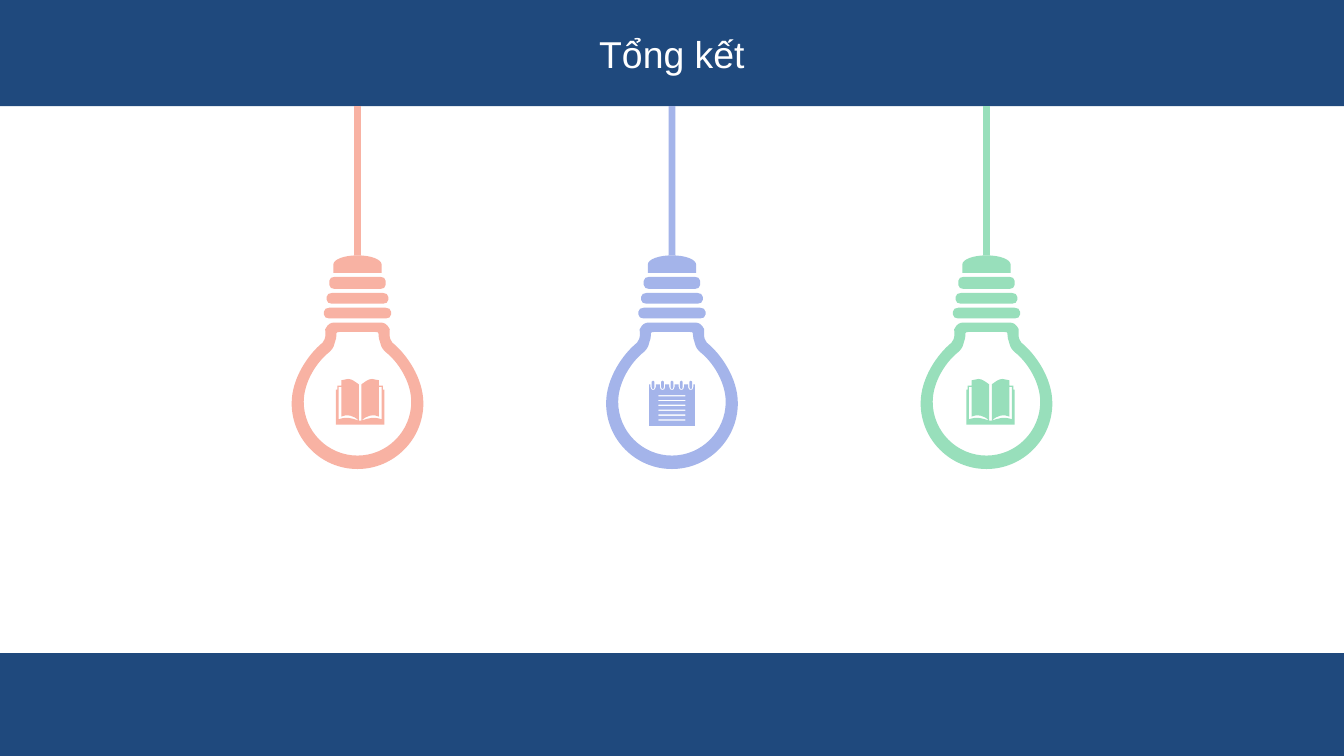
import dataclasses

import lxml.etree
import pptx
import pptx.dml.color
import pptx.enum.shapes
import pptx.enum.text
import pptx.oxml.ns
import pptx.util

TITLE = "Tổng kết"
# (icon, colour, icon shift from the bulb's axis)
BULBS = [("book", "F8B2A3", 0.02), ("notepad", "A4B4EA", 0), ("book", "98DFBB", 0.03)]


@dataclasses.dataclass(frozen=True)
class Theme:
    bar: str = "1F497D"
    title: str = "FFFFFF"
    font: str = "Arial"
    title_size: int = 20


THEME = Theme()
WIDTH, HEIGHT = 10, 5.625
BAR_HEIGHT, FOOTER_TOP = 0.79, 4.86
BULB_PITCH, BULB_TOP, CORD_WIDTH = 2.34, 1.9, 0.05
ICON_TOP = 2.83

# Right halves of symmetric outlines, in inches from the axis and the top.
# Two numbers are a straight step, six are a cubic curve.
CAP = [(0, 0), (0.1, 0, 0.18, 0.03, 0.18, 0.07), (0.18, 0.13), (0, 0.13)]
RINGS = [(0.21, 0.16, 0.25), (0.23, 0.28, 0.36), (0.25, 0.39, 0.47)]  # half width, top, bottom
GLASS_OUTER = [(0, 0.5), (0.17, 0.5), (0.2, 0.5, 0.22, 0.51, 0.24, 0.55),
               (0.24, 0.59, 0.23, 0.61, 0.26, 0.65), (0.36, 0.73, 0.49, 0.91, 0.49, 1.1),
               (0.49, 1.37, 0.27, 1.59, 0, 1.59)]
GLASS_INNER = [(0, 0.57), (0.13, 0.57), (0.17, 0.57, 0.15, 0.58, 0.16, 0.62),
               (0.18, 0.68, 0.17, 0.68, 0.21, 0.72), (0.3, 0.79, 0.4, 0.94, 0.4, 1.09),
               (0.4, 1.31, 0.22, 1.49, 0, 1.49)]
BOOK = [(0, 0.3), (0.01, 0.3), (0.07, 0.28, 0.1, 0.27, 0.16, 0.29), (0.16, 0.05), (0.14, 0.05),
        (0.14, 0.27), (0.1, 0.25, 0.05, 0.26, 0.01, 0.3), (0.01, 0.03),
        (0.04, 0.01, 0.06, -0.01, 0.09, -0.01), (0.11, -0.01, 0.12, -0.01, 0.14, 0),
        (0.14, 0.04), (0.17, 0.04), (0.17, 0.07), (0.18, 0.07), (0.18, 0.33), (0, 0.33)]


def mirrored(half):
    """Close a right half with its reflection, walked backwards."""
    outline = list(half)
    for before, step in reversed(list(zip(half, half[1:]))):
        pairs = [before[-2:]] + [step[i:i + 2] for i in range(0, len(step) - 2, 2)]
        outline.append(tuple(v for x, y in reversed(pairs) for v in (-x, y)))
    return outline


def ring(w, top, bottom):
    return [(0, top), (w - 0.04, top), (w - 0.02, top, w, top + 0.01, w, top + 0.03),
            (w, bottom - 0.03), (w, bottom - 0.01, w - 0.02, bottom, w - 0.04, bottom), (0, bottom)]


def notepad():
    holes = [0.07 * (i - 2) for i in range(5)]
    body, tabs = [(-0.17, 0.03)], []
    for x in holes:
        body += [(x - 0.02, 0.03), (x - 0.02, 0.05),
                 (x - 0.02, 0.08, x + 0.02, 0.08, x + 0.02, 0.05), (x + 0.02, 0.03)]
        tabs.append([(x - 0.01, 0.01), (x - 0.01, 0, x + 0.01, 0, x + 0.01, 0.01),
                     (x + 0.01, 0.05), (x + 0.01, 0.07, x - 0.01, 0.07, x - 0.01, 0.05)])
    body += [(0.17, 0.03), (0.17, 0.34), (-0.17, 0.34)]
    tops = [0.11 + 0.18 * i / 5 for i in range(6)]
    rules = [[(-0.1, y), (0.1, y), (0.1, y + 0.01), (-0.1, y + 0.01)] for y in tops]
    return [body, *tabs, *rules]


BULB = [mirrored(h) for h in [CAP, *(ring(*r) for r in RINGS), GLASS_OUTER, GLASS_INNER]]
ICONS = {"book": [mirrored(BOOK)], "notepad": notepad()}


def paint(sp, color):
    sp.shadow.inherit = False
    sp.fill.solid()
    sp.fill.fore_color.rgb = pptx.dml.color.RGBColor.from_string(color)
    sp.line.fill.background()


def add_rect(shapes, x, y, w, h, color):
    sp = shapes.add_shape(pptx.enum.shapes.MSO_SHAPE.RECTANGLE,
                          *(pptx.util.Inches(v) for v in (x, y, w, h)))
    paint(sp, color)


def add_outline(shapes, contours, x, y, color):
    """Draw all contours as one freeform; inner contours become holes."""
    def place(step):
        return [(pptx.util.Inches(x + step[i]), pptx.util.Inches(y + step[i + 1]))
                for i in range(0, len(step), 2)]

    placed = [[place(step) for step in c] for c in contours]
    builder = shapes.build_freeform(*placed[0][0][0])
    for i, (start, *steps) in enumerate(placed):
        if i:
            builder.move_to(*start[0])
        builder.add_line_segments([step[-1] for step in steps], close=True)
    sp = builder.convert_to_shape()
    paint(sp, color)

    qn = pptx.oxml.ns.qn
    lines = list(sp._element.iter(qn("a:lnTo")))
    for line, step in zip(lines, [step for c in placed for step in c[1:]]):
        if len(step) == 3:
            curve = lxml.etree.Element(qn("a:cubicBezTo"))
            for px, py in step:
                lxml.etree.SubElement(curve, qn("a:pt"), x=str(px - sp.left), y=str(py - sp.top))
            line.getparent().replace(line, curve)


def add_title(s):
    sp = s.shapes.title
    sp.left, sp.top = 0, 0
    sp.width, sp.height = pptx.util.Inches(WIDTH), pptx.util.Inches(BAR_HEIGHT)
    sp.fill.solid()
    sp.fill.fore_color.rgb = pptx.dml.color.RGBColor.from_string(THEME.bar)
    tf = sp.text_frame
    tf.text = TITLE
    tf.auto_size = pptx.enum.text.MSO_AUTO_SIZE.NONE
    tf.vertical_anchor = pptx.enum.text.MSO_ANCHOR.MIDDLE
    p = tf.paragraphs[0]
    p.alignment = pptx.enum.text.PP_ALIGN.CENTER
    font = p.runs[0].font
    font.name, font.size = THEME.font, pptx.util.Pt(THEME.title_size)
    font.color.rgb = pptx.dml.color.RGBColor.from_string(THEME.title)


def main():
    prs = pptx.Presentation()
    prs.slide_width, prs.slide_height = pptx.util.Inches(WIDTH), pptx.util.Inches(HEIGHT)
    s = prs.slides.add_slide(prs.slide_layouts[5])
    add_title(s)
    add_rect(s.shapes, 0, FOOTER_TOP, WIDTH, HEIGHT - FOOTER_TOP, THEME.bar)
    for i, (icon, color, shift) in enumerate(BULBS):
        x = WIDTH / 2 + BULB_PITCH * (i - 1)
        shapes = s.shapes.add_group_shape().shapes
        add_outline(shapes, BULB, x, BULB_TOP, color)
        add_outline(shapes, ICONS[icon], x + shift, ICON_TOP, color)
        # The cord comes last: adding a preset shape refits the group to its parts.
        add_rect(shapes, x - CORD_WIDTH / 2, BAR_HEIGHT, CORD_WIDTH, BULB_TOP - BAR_HEIGHT, color)
    prs.save("out.pptx")


if __name__ == "__main__":
    main()
